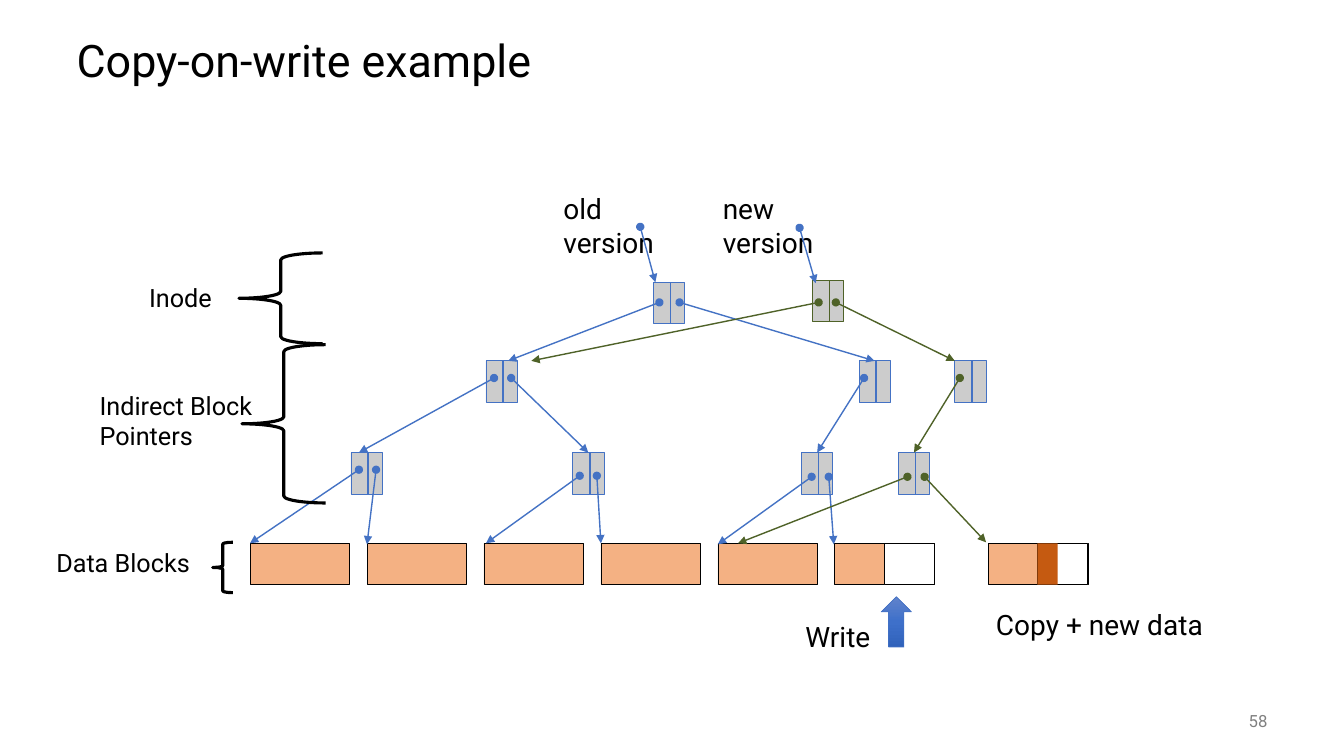
"""Build the copy-on-write block tree slide."""
from copy import deepcopy
from dataclasses import dataclass

from lxml.etree import SubElement
from pptx import Presentation
from pptx.dml.color import RGBColor
from pptx.enum.shapes import MSO_CONNECTOR as CONN, MSO_SHAPE as SHAPE
from pptx.enum.text import MSO_ANCHOR as ANCHOR, PP_ALIGN as ALIGN
from pptx.oxml.ns import qn
from pptx.util import Emu, Pt

BLACK = RGBColor(0x00, 0x00, 0x00)
WHITE = RGBColor(0xFF, 0xFF, 0xFF)
GRAY = RGBColor(0x80, 0x80, 0x80)
SILVER = RGBColor(0xCC, 0xCC, 0xCC)
BLUE = RGBColor(0x44, 0x72, 0xC4)
GREEN = RGBColor(0x4F, 0x62, 0x28)
ORANGE = RGBColor(0xF4, 0xB1, 0x83)
RUST = RGBColor(0xC5, 0x5A, 0x11)
GRADIENT = (RGBColor(0x61, 0x83, 0xCB), RGBColor(0x3E, 0x70, 0xCA), RGBColor(0x30, 0x62, 0xBB))

FONT = "Roboto"
PX = 9144
NODE_W, NODE_H, DIVIDER = 31, 41, 17
BLOCK_X, BLOCK_Y, BLOCK_W, BLOCK_H, BLOCK_STEP = 248, 539, 99, 41, 116
OLD_LAST_X, NEW_X = BLOCK_X + 5 * BLOCK_STEP, 980


@dataclass
class Node:
    name: str
    x: int
    y: int
    line: RGBColor = BLUE
    divider: RGBColor = BLUE


@dataclass
class Arrow:
    x1: int
    y1: int
    x2: int
    y2: int
    color: RGBColor = BLUE
    target: str = ""


@dataclass
class Label:
    text: str
    x: int
    y: int
    w: int
    h: int
    size: int = 18


NODES = [
    Node("old inode", 648, 280),
    Node("new inode", 806, 278, GREEN, GREEN),
    Node("left", 482, 358),
    Node("old right", 852, 358),
    Node("new right", 947, 358),
    Node("leaf 1", 348, 449),
    Node("leaf 2", 568, 449),
    Node("old leaf 3", 795, 449),
    Node("new leaf 3", 891, 449),
]

ARROWS = [
    Arrow(635, 225, 650, 280),
    Arrow(793, 226, 809, 281),
    Arrow(654, 300, 504, 358),
    Arrow(674, 300, 868, 358, target="old right"),
    Arrow(490, 375, 356, 449),
    Arrow(507, 375, 583, 449, target="leaf 2"),
    Arrow(857, 375, 811, 449, target="old leaf 3"),
    Arrow(356, 466, 248, 539),
    Arrow(373, 466, 364, 540),
    Arrow(575, 472, 482, 539),
    Arrow(592, 472, 596, 539),
    Arrow(805, 473, 712, 540),
    Arrow(822, 473, 827, 540),
    Arrow(812, 300, 527, 358, GREEN),
    Arrow(829, 300, 947, 358, GREEN),
    Arrow(952, 375, 906, 449, GREEN, "new leaf 3"),
    Arrow(900, 473, 732, 539, GREEN),
    Arrow(917, 473, 978, 538, GREEN),
]

BRACES = [(237, 251, 83, 90), (240, 342, 83, 157), (211, 538, 20, 50)]

LABELS = [
    Label("old version", 549, 185, 147, 44, 20),
    Label("new version", 707, 185, 158, 44, 20),
    Label("Write", 789, 610, 90, 44, 20),
    Label("Copy + new data", 978, 598, 243, 44, 20),
    Label("Inode", 138, 275, 85, 40),
    Label("Indirect Block Pointers", 89, 382, 177, 71),
    Label("Data Blocks", 46, 538, 159, 40),
]


def px(*values: int) -> list[Emu]:
    return [Emu(v * PX) for v in values]


def set_text(sp, text: str, size: int, color: RGBColor = BLACK):
    tf = sp.text_frame
    tf.word_wrap = True
    tf.text = text
    p = tf.paragraphs[0]
    f = p.runs[0].font
    f.name, f.size, f.color.rgb = FONT, Pt(size), color
    return p


def add_label(shapes, label: Label, color: RGBColor = BLACK):
    sp = shapes.add_textbox(*px(label.x, label.y, label.w, label.h))
    return sp, set_text(sp, label.text, label.size, color)


def add_shape(shapes, kind, box: tuple, fill: RGBColor | None, line: RGBColor | None, width=0.5):
    sp = shapes.add_shape(kind, *px(*box))
    sp.shadow.inherit = False
    if fill is None:
        sp.fill.background()
    else:
        sp.fill.solid()
        sp.fill.fore_color.rgb = fill
    if line is None:
        sp.line.fill.background()
    else:
        sp.line.color.rgb = line
        sp.line.width = Pt(width)
    return sp


def add_line(shapes, x1: int, y1: int, x2: int, y2: int, color: RGBColor):
    cx = shapes.add_connector(CONN.STRAIGHT, *px(x1, y1, x2, y2))
    cx.line.color.rgb = color
    cx.line.width = Pt(1)
    SubElement(cx._element.spPr, qn("a:effectLst"))
    return cx


def add_node(shapes, node: Node):
    sp = add_shape(shapes, SHAPE.RECTANGLE, (node.x, node.y, NODE_W, NODE_H), SILVER, node.line)
    x = node.x + DIVIDER
    add_line(shapes, x, node.y, x, node.y + NODE_H, node.divider)
    return sp


def add_arrow(shapes, arrow: Arrow, nodes: dict) -> None:
    cx = add_line(shapes, arrow.x1, arrow.y1, arrow.x2, arrow.y2, arrow.color)
    if arrow.target:
        cx.end_connect(nodes[arrow.target], 0)
    ln = cx.line._get_or_add_ln()
    SubElement(ln, qn("a:headEnd"), type="oval")
    SubElement(ln, qn("a:tailEnd"), type="triangle")


def add_write_arrow(shapes) -> None:
    sp = add_shape(shapes, SHAPE.UP_ARROW, (874, 592, 30, 50), None, BLUE)
    sp.fill.gradient()
    sp.fill.gradient_angle = 270
    stops = sp._element.spPr.find(".//" + qn("a:gsLst"))
    stops.insert(1, deepcopy(stops[0]))
    for i, (stop, color) in enumerate(zip(sp.fill.gradient_stops, GRADIENT)):
        stop.position = i / 2
        stop.color.rgb = color


def add_blocks(shapes) -> None:
    for x in [BLOCK_X + i * BLOCK_STEP for i in range(6)] + [NEW_X]:
        add_shape(shapes, SHAPE.RECTANGLE, (x, BLOCK_Y, BLOCK_W, BLOCK_H), ORANGE, BLACK)
    for x in (OLD_LAST_X, NEW_X):
        add_shape(shapes, SHAPE.RECTANGLE, (x + 49, BLOCK_Y, 50, BLOCK_H), WHITE, BLACK)
    add_shape(shapes, SHAPE.RECTANGLE, (NEW_X + 49, BLOCK_Y, 20, BLOCK_H), RUST, None)


def main() -> None:
    prs = Presentation()
    prs.slide_width, prs.slide_height = px(1333, 750)
    s = prs.slides.add_slide(prs.slide_layouts[5])
    shapes = s.shapes

    title = shapes.title
    title.left, title.top, title.width, title.height = px(66, 25, 1200, 75)
    p = set_text(title, "Copy-on-write example", 32)
    p.alignment, p.line_spacing = ALIGN.LEFT, 0.9
    title.text_frame.vertical_anchor = ANCHOR.MIDDLE

    sp, p = add_label(shapes, Label("58", 1167, 695, 100, 40, 12), GRAY)
    sp.text_frame.vertical_anchor = ANCHOR.MIDDLE
    p.alignment = ALIGN.RIGHT

    add_blocks(shapes)
    add_write_arrow(shapes)
    nodes = {node.name: add_node(shapes, node) for node in NODES}
    for label in LABELS:
        add_label(shapes, label)
    for arrow in ARROWS:
        add_arrow(shapes, arrow, nodes)
    for box in BRACES:
        add_shape(shapes, SHAPE.LEFT_BRACE, box, None, BLACK, 2.25)
    prs.save("out.pptx")


if __name__ == "__main__":
    main()
